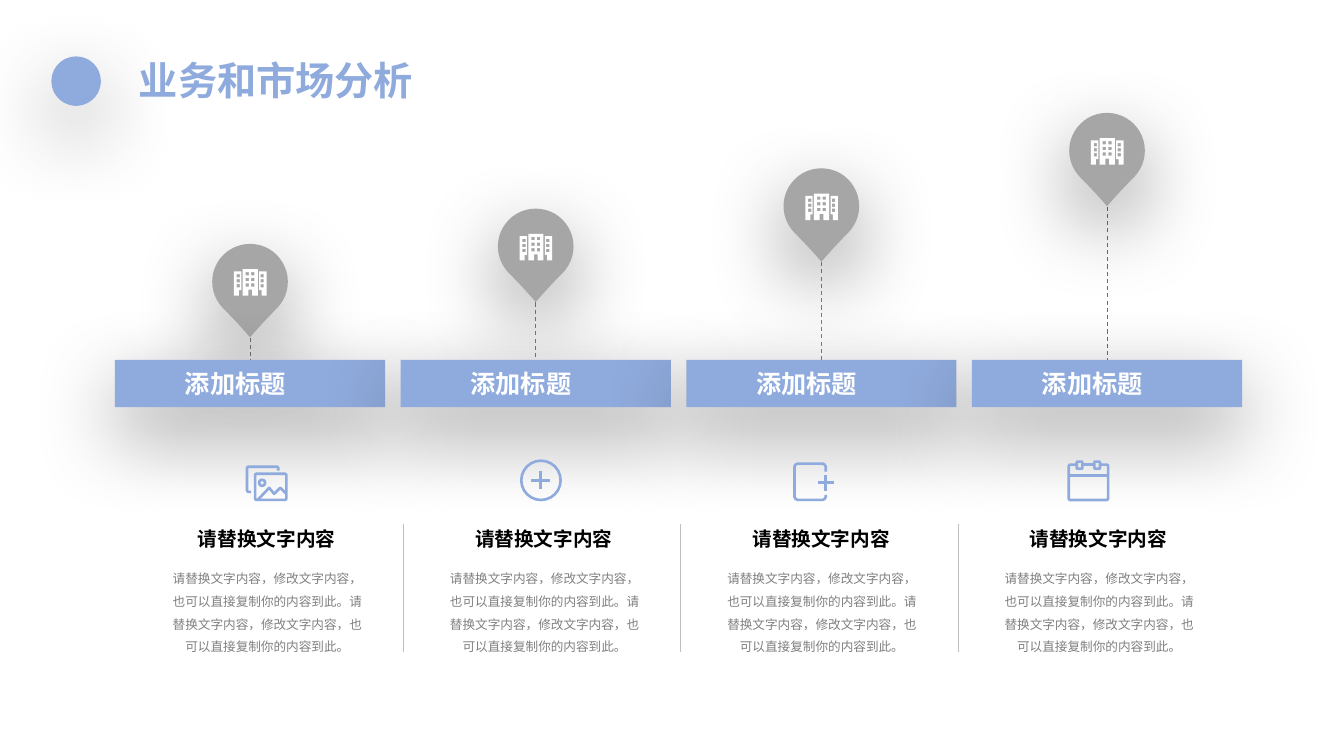
from lxml import etree
from pptx import Presentation, util as u
from pptx.dml.color import RGBColor
from pptx.enum import dml, shapes, text
from pptx.oxml.ns import qn

CELL = u.Inches(0.01)
COLUMNS, ROWS = 1333, 750
FONT = "Noto Sans CJK SC"
BLUE, GREY, WHITE = "8FAADC", "A6A6A6", "FFFFFF"
STEP_LEFT, STEP_PITCH = 114, 283.33
NOTE_LEFT, NOTE_PITCH = 169, 275
BANNER_TOP = 357
PIN_TOPS = [242, 207, 167, 112]
STEM_COLORS = ["808080", "808080", "808080", "4472C4"]
BODY = "请替换文字内容，修改文字内容，也可以直接复制你的内容到此。" * 2


def grid(*counts):
    return [round(count * CELL) for count in counts]


def color(value):
    return RGBColor.from_string(value)


def paint(shape, fill=None, line=None):
    shape.shadow.inherit = False
    if fill:
        shape.fill.solid()
        shape.fill.fore_color.rgb = color(fill)
    else:
        shape.fill.background()
    if line:
        shape.line.color.rgb = color(line)
        shape.line.width = u.Pt(1.88)
    else:
        shape.line.fill.background()
    return shape


def cast_shadow(shape):
    effects = shape._element.spPr.find(qn("a:effectLst"))
    shadow = etree.SubElement(effects, qn("a:outerShdw"), blurRad=str(u.Pt(60)),
                              dist=str(u.Pt(20)), dir="5400000", algn="t", rotWithShape="0")
    tint = etree.SubElement(shadow, qn("a:srgbClr"), val="000000")
    etree.SubElement(tint, qn("a:alpha"), val="40000")


def add_preset(owner, kind, place, fill=None, line=None):
    return paint(owner.add_shape(kind, *grid(*place)), fill, line)


def add_line(owner, ends, tint, width=1.88, dashed=False):
    line = owner.add_connector(shapes.MSO_CONNECTOR.STRAIGHT, *grid(*ends))
    line.line.color.rgb = color(tint)
    line.line.width = u.Pt(width)
    if dashed:
        line.line.dash_style = dml.MSO_LINE.DASH
    etree.SubElement(line._element.spPr, qn("a:effectLst"))


def add_outline(owner, left, top, contours, fill=None, line=None, close=True):
    paths = [[grid(left + x, top + y) for x, y in contour] for contour in contours]
    builder = owner.build_freeform(*paths[0][0], scale=1.0)
    for number, points in enumerate(paths):
        if number:
            builder.move_to(*points[0])
        builder.add_line_segments(points[1:], close=close)
    return paint(builder.convert_to_shape(), fill, line)


def write(frame, words, size, tint, bold=False, centred=True, spacing=None):
    frame.word_wrap = True
    para = frame.paragraphs[0]
    para.text = words
    para.alignment = text.PP_ALIGN.CENTER if centred else text.PP_ALIGN.LEFT
    if spacing:
        para.line_spacing = spacing
    font = para.font
    font.name, font.size, font.bold = FONT, u.Pt(size), bold
    font.color.rgb = color(tint)
    defaults = para._p.pPr.find(qn("a:defRPr"))
    etree.SubElement(defaults, qn("a:ea"), typeface=FONT)


def set_margins(frame, *sides):
    (frame.margin_left, frame.margin_top,
     frame.margin_right, frame.margin_bottom) = grid(*sides)


def add_text(page, place, words, size, tint, margins=(0, 0, 0, 0), **style):
    frame = page.shapes.add_textbox(*grid(*place)).text_frame
    set_margins(frame, *margins)
    frame.auto_size = text.MSO_AUTO_SIZE.SHAPE_TO_FIT_TEXT
    write(frame, words, size, tint, **style)


def add_step(page, left, pin_top, stem_color):
    middle = left + 134
    add_line(page.shapes, (middle, pin_top + 93, middle, BANNER_TOP), stem_color, 0.75, True)
    pin = add_preset(page.shapes, shapes.MSO_SHAPE.TEAR,
                     (middle - 37.5, pin_top, 75, 75), GREY)
    pin.adjustments[0] = 1.04
    pin.rotation = 45
    pin._element.spPr.find(qn("a:xfrm")).set("flipV", "1")
    cast_shadow(pin)
    banner = add_preset(page.shapes, shapes.MSO_SHAPE.RECTANGLE,
                        (left, BANNER_TOP, 268, 47), BLUE)
    cast_shadow(banner)
    banner.text_frame.vertical_anchor = text.MSO_ANCHOR.MIDDLE
    set_margins(banner.text_frame, 10, 5, 39, 5)
    write(banner.text_frame, "添加标题", 18, WHITE, bold=True)


def square(x, y, side=3.2):
    return [(x, y), (x + side, y), (x + side, y + side), (x, y + side)]


def add_building(page, left, top):
    side_windows = [square(x, y) for x in (2.8, 26.4) for y in (5, 10, 15)]
    tower_windows = [square(x, y) for x in (11.7, 17.2) for y in (3, 8.7, 14.2)]
    west = [(0, 2.3), (7.3, 2.3), (7.3, 20.8), (5, 20.8), (5, 26.3), (0, 26.3)]
    east = [(32.4 - x, y) for x, y in west]
    tower = [(8.7, 0), (23.7, 0), (23.7, 26.3), (18, 26.3),
             (18, 20.3), (14.4, 20.3), (14.4, 26.3), (8.7, 26.3)]
    add_outline(page.shapes, left, top,
                side_windows + tower_windows + [west, east, tower], WHITE)


def rounded(width, height, cut=1):
    return [(cut, 0), (width - cut, 0), (width, cut), (width, height - cut),
            (width - cut, height), (cut, height), (0, height - cut), (0, cut)]


def draw_gallery(icon):
    add_outline(icon, 253, 470, [rounded(31, 26)], line=BLUE)
    back = [(4, 25), (1, 25), (0, 24), (0, 1), (1, 0), (30, 0), (31, 1), (31, 4)]
    add_outline(icon, 245, 463, [back], line=BLUE, close=False)
    hills = [(0, 11.5), (11, 0), (16, 6), (22, 0), (28, 6)]
    add_outline(icon, 256, 484, [hills], line=BLUE, close=False)
    add_preset(icon, shapes.MSO_SHAPE.OVAL, (257, 476, 6, 6), line=BLUE)


def draw_plus(icon, x, y, reach):
    add_line(icon, (x, y - reach, x, y + reach), BLUE)
    add_line(icon, (x - reach, y, x + reach, y), BLUE)


def draw_circle_plus(icon):
    add_preset(icon, shapes.MSO_SHAPE.OVAL, (517, 457, 39, 39), line=BLUE)
    draw_plus(icon, 536, 476.5, 9)


def draw_page_plus(icon):
    draw_plus(icon, 819, 479, 8)
    sheet = [(31, 31), (31, 33), (30, 35), (28, 36), (3, 36), (1, 35), (0, 33),
             (0, 3), (1, 1), (3, 0), (28, 0), (30, 1), (31, 3), (31, 8)]
    add_outline(icon, 788, 460, [sheet], line=BLUE, close=False)


def draw_calendar(icon):
    frame = [(32, 0), (38, 0), (39, 1), (39, 34), (38, 35), (1, 35),
             (0, 34), (0, 1), (1, 0), (7, 0)]
    add_outline(icon, 1060, 461, [frame], line=BLUE, close=False)
    add_line(icon, (1060, 472, 1099, 472), BLUE)
    for ring_left in (1068, 1085.5):
        add_outline(icon, ring_left, 458, [rounded(5.5, 7, 0.5)], line=BLUE)
    add_line(icon, (1074, 461, 1085, 461), BLUE)


def add_note(page, left):
    add_text(page, (left, 559, 192, 88), BODY, 9, "808080", spacing=1.5)
    add_text(page, (left + 2.5, 523, 186, 24), "请替换文字内容", 14, "000000", bold=True)


def main():
    deck = Presentation()
    deck.slide_width, deck.slide_height = grid(COLUMNS, ROWS)
    page = deck.slides.add_slide(deck.slide_layouts[6])
    cast_shadow(add_preset(page.shapes, shapes.MSO_SHAPE.OVAL, (51, 56, 49, 49), BLUE))
    add_text(page, (128, 51, 356, 57), "业务和市场分析", 28, BLUE,
             margins=(10, 5, 10, 5), bold=True, centred=False)
    lefts = [STEP_LEFT + number * STEP_PITCH for number in range(4)]
    for left, pin_top, stem_color in zip(lefts, PIN_TOPS, STEM_COLORS):
        add_step(page, left, pin_top, stem_color)
    for left, pin_top in zip(lefts, PIN_TOPS):
        add_building(page, left + 118, pin_top + 25)
    for draw in (draw_gallery, draw_circle_plus, draw_page_plus, draw_calendar):
        draw(page.shapes.add_group_shape().shapes)
    for number in range(4):
        add_note(page, NOTE_LEFT + number * NOTE_PITCH)
    for number in range(3):
        x = 400 + number * NOTE_PITCH
        add_line(page.shapes, (x, 520, x, 647), "BFBFBF", 0.25)
    deck.save("out.pptx")


if __name__ == "__main__":
    main()
